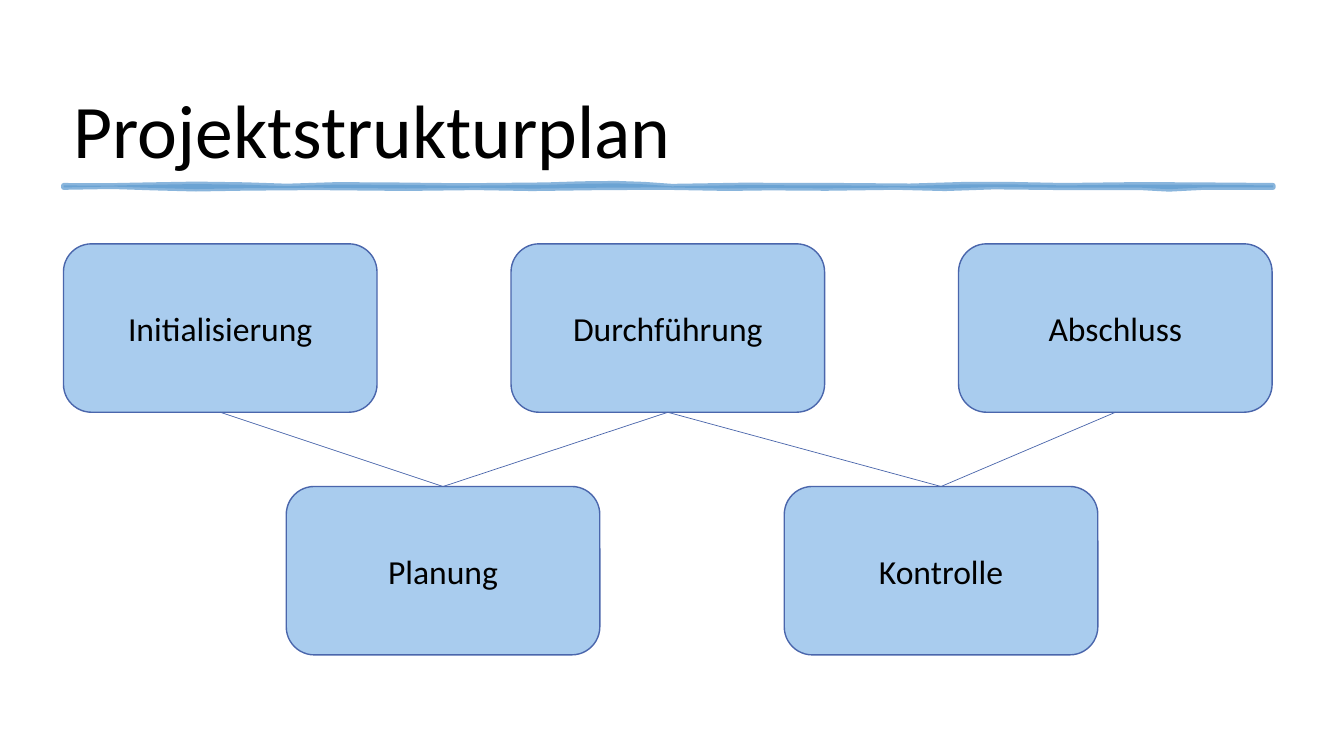
from typing import NamedTuple

from lxml import etree
from pptx import Presentation
from pptx.dml.color import RGBColor
from pptx.enum.shapes import MSO_CONNECTOR, MSO_SHAPE
from pptx.enum.text import MSO_ANCHOR, PP_ALIGN
from pptx.oxml.ns import qn
from pptx.util import Pt

ROUNDED, STRAIGHT = MSO_SHAPE.ROUNDED_RECTANGLE, MSO_CONNECTOR.STRAIGHT
MIDDLE, BOTTOM, CENTER = MSO_ANCHOR.MIDDLE, MSO_ANCHOR.BOTTOM, PP_ALIGN.CENTER

FONT = "Calibri"
COLORS = {"text": "000000", "paper": "FFFFFF", "box": "A9CCEE",
          "border": "4A66AC", "brush": "629DD1"}

# Layout in points
LEFT, COLUMN_STEP = 45.36, 319.68
UPPER_ROW, LOWER_ROW = 174.2, 347.5
BOX_W, BOX_H = 224, 120.3
TOP_SITE, BOTTOM_SITE = 0, 2
BRUSH_TOP, BRUSH_BOTTOM = 132.5, 133.9
BRUSH_ALPHA = 75


class Phase(NamedTuple):
    name: str
    left: float
    top: float


class Link(NamedTuple):
    upper: str
    lower: str


PHASES = [
    Phase("Planung", 204.5, LOWER_ROW),
    Phase("Initialisierung", LEFT, UPPER_ROW),
    Phase("Durchführung", LEFT + COLUMN_STEP, UPPER_ROW),
    Phase("Kontrolle", 560.2, LOWER_ROW),
    Phase("Abschluss", LEFT + 2 * COLUMN_STEP, UPPER_ROW),
]
LINKS = [
    Link("Initialisierung", "Planung"),
    Link("Durchführung", "Planung"),
    Link("Durchführung", "Kontrolle"),
    Link("Abschluss", "Kontrolle"),
]

# Brush stroke edges: x and deviation from the edge's base height
TOP_EDGE = [(45.4, 0), (75, 0.2), (105, -0.4), (140, -1), (175, -0.5),
            (205, 0.5), (240, -0.6), (280, -0.4), (330, 0.2), (390, -0.4),
            (415, -1.2), (440, -1.5), (460, -0.8), (480, 0.6), (530, -0.2),
            (600, 0), (650, 0.4), (690, -0.8), (720, -0.8), (760, 0),
            (810, -0.6), (850, -0.5), (909.4, 0)]
BOTTOM_EDGE = [(909.4, 0), (860, 0), (835, 1.3), (815, 0.2), (760, 0.2),
               (710, -0.3), (675, 0.9), (640, 0), (590, 0.7), (550, 0.4),
               (520, 0.8), (475, 0), (430, 0.2), (380, 0.9), (340, 0.2),
               (290, 0.8), (225, 0.2), (175, 0.6), (140, 1.2), (110, 0.4),
               (80, -0.6), (45.4, 0)]


def rgb(key: str) -> RGBColor:
    return RGBColor.from_string(COLORS[key])


def write(sp, text: str, size: float, anchor) -> None:
    tf = sp.text_frame
    tf.word_wrap = True
    tf.vertical_anchor = anchor
    p = tf.paragraphs[0]
    p.text = text
    p.font.name, p.font.size = FONT, Pt(size)
    p.font.color.rgb = rgb("text")


def add_title(slide, text: str) -> None:
    sp = slide.shapes.add_textbox(Pt(LEFT), Pt(15.8), Pt(867.6), Pt(113))
    sp.fill.solid()
    sp.fill.fore_color.rgb = rgb("paper")
    write(sp, text, 54, BOTTOM)
    sp.text_frame.paragraphs[0].line_spacing = 0.9


def add_brush_stroke(slide) -> None:
    points = [(Pt(x), Pt(BRUSH_TOP + dy)) for x, dy in TOP_EDGE]
    points += [(Pt(x), Pt(BRUSH_BOTTOM + dy)) for x, dy in BOTTOM_EDGE]
    builder = slide.shapes.build_freeform(*points[0])
    builder.add_line_segments(points[1:], close=True)
    sp = builder.convert_to_shape()
    sp.shadow.inherit = False
    sp.fill.solid()
    sp.fill.fore_color.rgb = rgb("brush")
    sp.line.color.rgb = rgb("brush")
    sp.line.width = Pt(3.5)
    for color in sp._element.spPr.iter(qn("a:srgbClr")):
        etree.SubElement(color, qn("a:alpha"), val=str(BRUSH_ALPHA * 1000))
    etree.SubElement(sp.line._get_or_add_ln(), qn("a:round"))


def add_phase(slide, phase: Phase):
    sp = slide.shapes.add_shape(ROUNDED, Pt(phase.left), Pt(phase.top),
                                Pt(BOX_W), Pt(BOX_H))
    sp.shadow.inherit = False
    sp.fill.solid()
    sp.fill.fore_color.rgb = rgb("box")
    sp.line.color.rgb = rgb("border")
    sp.line.width = Pt(1)
    write(sp, phase.name, 24, MIDDLE)
    sp.text_frame.paragraphs[0].alignment = CENTER
    return sp


def add_link(slide, upper, lower) -> None:
    line = slide.shapes.add_connector(STRAIGHT, 0, 0, 0, 0)
    line.begin_connect(upper, BOTTOM_SITE)
    line.end_connect(lower, TOP_SITE)
    line.line.color.rgb = rgb("border")
    line.line.width = Pt(0.5)
    etree.SubElement(line._element.spPr, qn("a:effectLst"))


def main() -> None:
    prs = Presentation()
    prs.slide_width, prs.slide_height = Pt(960), Pt(540)
    slide = prs.slides.add_slide(prs.slide_layouts[6])

    # Heading
    add_title(slide, "Projektstrukturplan")
    add_brush_stroke(slide)

    # Project phases and their links
    boxes = {phase.name: add_phase(slide, phase) for phase in PHASES}
    for link in LINKS:
        add_link(slide, boxes[link.upper], boxes[link.lower])

    prs.save("out.pptx")


if __name__ == "__main__":
    main()
